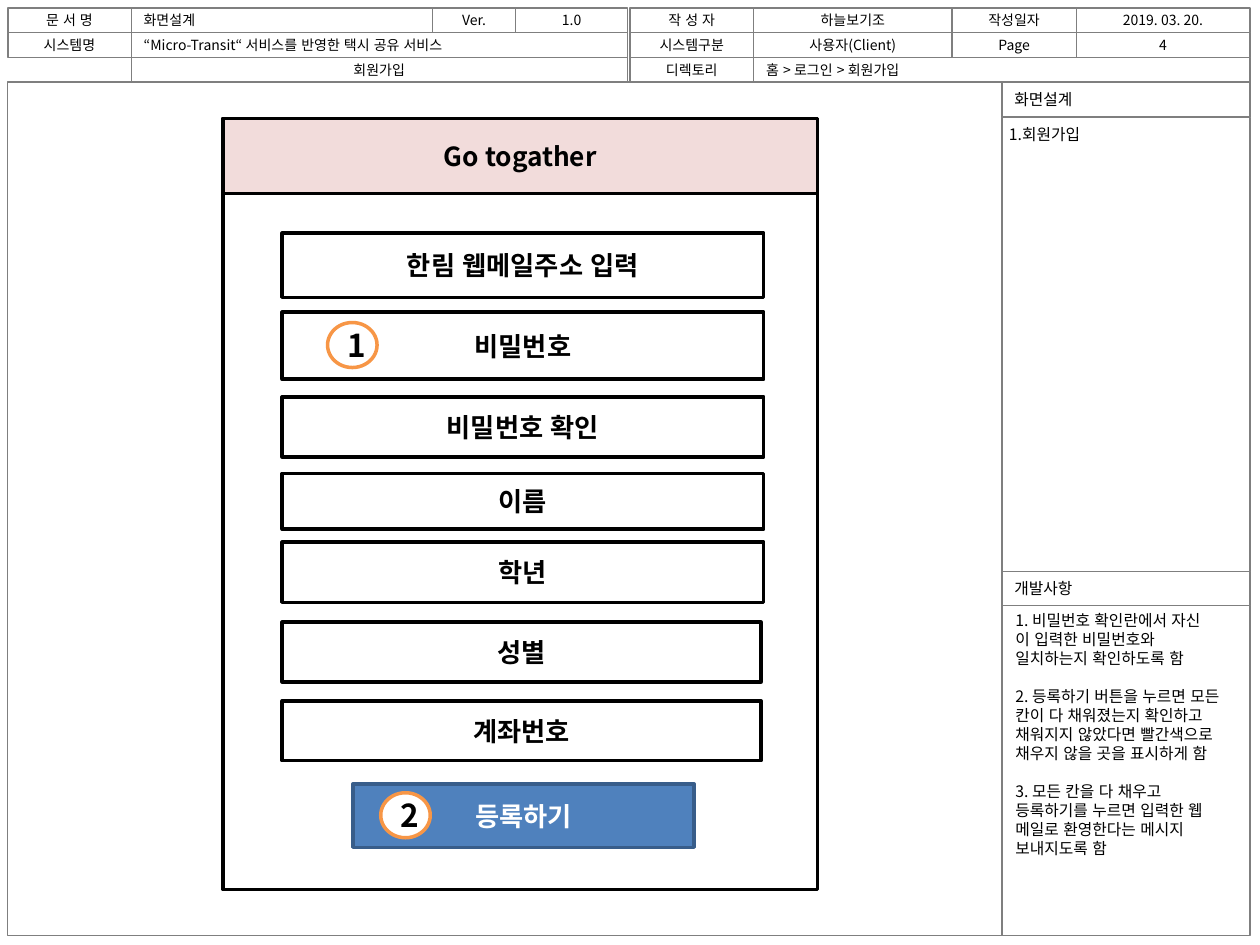
from pptx import Presentation
from pptx import util as u
from pptx.dml.color import RGBColor
from pptx.enum import lang, shapes, text
from pptx.oxml import ns
from lxml import etree

FONT = "Noto Sans CJK KR"
BLACK = RGBColor(0x00, 0x00, 0x00)
WHITE = RGBColor(0xFF, 0xFF, 0xFF)
GRAY = RGBColor(0x7F, 0x7F, 0x7F)
PINK = RGBColor(0xF2, 0xDC, 0xDB)
BLUE = RGBColor(0x4F, 0x81, 0xBD)
NAVY = RGBColor(0x38, 0x5D, 0x8A)
ORANGE = RGBColor(0xF7, 0x96, 0x46)
LEFT, CENTER = text.PP_ALIGN.LEFT, text.PP_ALIGN.CENTER
RECT, OVAL = shapes.MSO_SHAPE.RECTANGLE, shapes.MSO_SHAPE.OVAL

# Content: header cells are (first column edge, last column edge, text, alignment)
COLUMNS = [4.5, 75, 247, 294.75, 358.5, 360, 430.75, 544, 615, 714.25]
HEADER = [
    [(0, 1, "문 서 명", CENTER), (1, 2, "화면설계", LEFT),
     (2, 3, "Ver.", CENTER), (3, 4, "1.0", CENTER),
     (5, 6, "작 성 자", CENTER), (6, 7, "하늘보기조", CENTER),
     (7, 8, "작성일자", CENTER), (8, 9, "2019. 03. 20.", CENTER)],
    [(0, 1, "시스템명", CENTER),
     (1, 4, "“Micro-Transit“ 서비스를 반영한 택시 공유 서비스", LEFT),
     (5, 6, "시스템구분", CENTER), (6, 7, "사용자(Client)", CENTER),
     (7, 8, "Page", CENTER), (8, 9, "4", CENTER)],
    [(1, 4, "회원가입", CENTER), (5, 6, "디렉토리", CENTER),
     (6, 9, "홈 > 로그인 > 회원가입", LEFT)],
]
HEADER_TOP, ROW_HEIGHT = 4.5, 14.15
BODY_TOP, BODY_BOTTOM = HEADER_TOP + 3 * ROW_HEIGHT, 534.5

# Side panels: (title, top, title height, bottom)
SIDE_LEFT = 572.5
PANELS = [("화면설계", BODY_TOP, 20, 326.4), ("개발사항", 326.4, 19.6, BODY_BOTTOM)]
SCREEN_ITEMS = ["1.회원가입"]
NOTES = [
    "1. 비밀번호 확인란에서 자신\v이 입력한 비밀번호와 일치하는지 확인하도록 함",
    "2. 등록하기 버튼을 누르면 모든 칸이 다 채워졌는지 확인하고 "
    "채워지지 않았다면 빨간색으로 채우지 않을 곳을 표시하게 함",
    "3. 모든 칸을 다 채우고 등록하기를 누르면 입력한 웹 메일로 "
    "환영한다는 메시지 보내지도록 함",
]
NOTE_LINE = 10.86

# Form fields: (label, top, width, height)
FIELD_LEFT = 161.3
FIELDS = [
    ("한림 웹메일주소 입력", 133.2, 275.2, 36.7),
    ("비밀번호", 178.4, 275.2, 38.3),
    ("비밀번호 확인", 226.8, 275.2, 34.4),
    ("이름", 270.5, 275.2, 31.9),
    ("학년", 309.8, 275.2, 34.4),
    ("성별", 355.5, 273.6, 34.2),
    ("계좌번호", 400.5, 273.6, 34.2),
]
MARKERS = [("1", 187.2, 184.3), ("2", 217.6, 453)]

FIELD_TEXT = {"size": u.Pt(15), "bold": True}
MARKER_TEXT = {"size": u.Pt(18), "bold": True}
HEADER_TEXT = {"size": u.Pt(8)}
SIDE_TEXT = {"size": u.Pt(9)}


def write(box, lines, style, color=BLACK, align=CENTER, spacing=None):
    frame = box.text_frame
    frame.word_wrap = True
    for index, line in enumerate(lines):
        para = frame.add_paragraph() if index else frame.paragraphs[0]
        para.text = line
        para.alignment = align
        if spacing:
            para.line_spacing = u.Pt(spacing)
            para.space_before = u.Pt(spacing if index else 0)
        for span in para.runs:
            values = {"name": FONT, "language_id": lang.MSO_LANGUAGE_ID.KOREAN, **style}
            for name, value in values.items():
                setattr(span.font, name, value)
            span.font.color.rgb = color
            # East Asian typeface follows the Latin one
            latin = span.font._element.find(ns.qn("a:latin"))
            east = etree.Element(ns.qn("a:ea"), typeface=FONT)
            latin.addnext(east)


def add_box(page, area, kind=RECT, fill=None, line=GRAY, weight=0.75):
    box = page.shapes.add_shape(kind, *map(u.Pt, area))
    box.shadow.inherit = False
    if fill is None:
        box.fill.background()
    else:
        box.fill.solid()
        box.fill.fore_color.rgb = fill
    box.line.color.rgb = line
    box.line.width = u.Pt(weight)
    box.text_frame.vertical_anchor = text.MSO_ANCHOR.MIDDLE
    return box


def add_header(page):
    for row, cells in enumerate(HEADER):
        top = HEADER_TOP + row * ROW_HEIGHT
        for start, end, label, align in cells:
            left = COLUMNS[start]
            cell = add_box(page, (left, top, COLUMNS[end] - left, ROW_HEIGHT))
            write(cell, [label], HEADER_TEXT, align=align)


def add_side(page):
    width = COLUMNS[-1] - SIDE_LEFT
    for title, top, height, bottom in PANELS:
        heading = add_box(page, (SIDE_LEFT, top, width, height))
        write(heading, [title], SIDE_TEXT, align=LEFT)
        add_box(page, (SIDE_LEFT, top + height, width, bottom - top - height))
    for lines, area in [(SCREEN_ITEMS, (569.5, 67.7, 102, 18)),
                        (NOTES, (573.1, 345.6, 133.2, 162))]:
        box = page.shapes.add_textbox(*map(u.Pt, area))
        write(box, lines, SIDE_TEXT, align=LEFT, spacing=NOTE_LINE)


def add_form(page):
    framed = {"fill": WHITE, "line": BLACK, "weight": 2}
    add_box(page, (127.4, 67.7, 339.8, 440.6), **framed)
    title = add_box(page, (127.4, 67.7, 339.8, 43), **{**framed, "fill": PINK})
    write(title, ["Go togather"], FIELD_TEXT)
    for label, top, width, height in FIELDS:
        field = add_box(page, (FIELD_LEFT, top, width, height), **framed)
        write(field, [label], FIELD_TEXT)
    button = add_box(page, (201.6, 448, 195.1, 36.2), fill=BLUE, line=NAVY, weight=2)
    write(button, ["등록하기"], FIELD_TEXT, WHITE)
    for number, left, top in MARKERS:
        marker = add_box(page, (left, top, 28.3, 25.7), OVAL, WHITE, ORANGE, 2)
        write(marker, [number], MARKER_TEXT)


def main():
    deck = Presentation()
    deck.slide_width, deck.slide_height = u.Pt(720), u.Pt(540)
    page = deck.slides.add_slide(deck.slide_layouts[6])
    # Outer frame of the body
    add_box(page, (COLUMNS[0], BODY_TOP, COLUMNS[-1] - COLUMNS[0], BODY_BOTTOM - BODY_TOP))
    add_header(page)
    add_side(page)
    add_form(page)
    deck.save("out.pptx")


if __name__ == "__main__":
    main()
